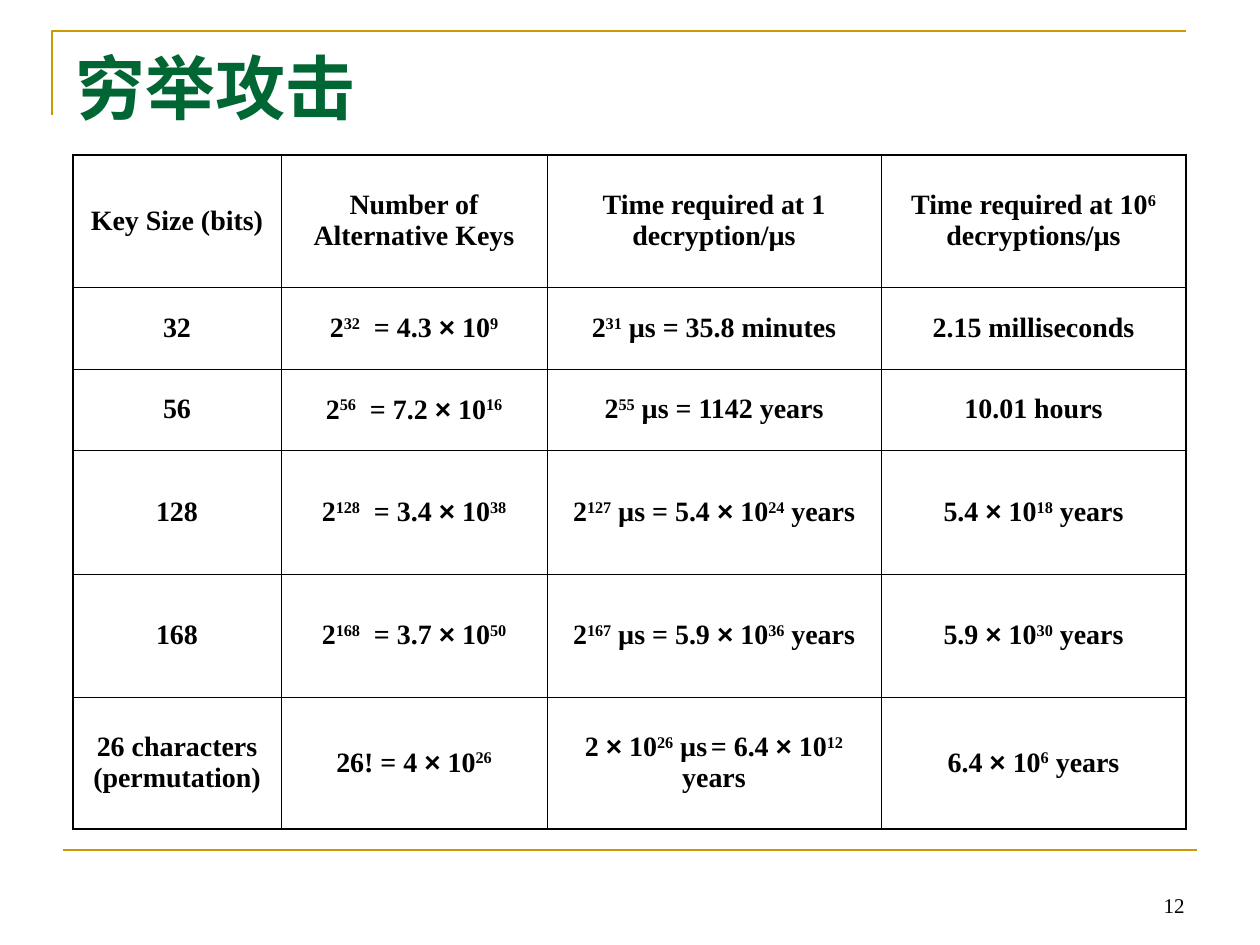
from pptx import Presentation
from pptx.dml.color import RGBColor
from pptx.enum.shapes import MSO_CONNECTOR
from pptx.enum.text import MSO_ANCHOR, MSO_AUTO_SIZE, PP_ALIGN
from pptx.oxml.ns import qn
from pptx.util import Pt
from lxml import etree

LEFT, CENTER, RIGHT = PP_ALIGN.LEFT, PP_ALIGN.CENTER, PP_ALIGN.RIGHT
TOP, MIDDLE, BOTTOM = MSO_ANCHOR.TOP, MSO_ANCHOR.MIDDLE, MSO_ANCHOR.BOTTOM
STRAIGHT = MSO_CONNECTOR.STRAIGHT
NO_AUTOFIT = MSO_AUTO_SIZE.NONE

INCH = 914400
PX_PER_INCH = 126
TITLE_ONLY = 5


def px(length):
    return round(length * INCH / PX_PER_INCH)


def color(value):
    return RGBColor.from_string(value)


class SlideBuilder:
    serif, sans = "Times New Roman", "Arial"
    ink, green, gold = "000000", "006633", "CC9900"
    rule_width, thin, thick = 1.5, 0.45, 1.08

    def __init__(self, page):
        self.page = page

    # Text: ^...^ marks a superscript, and the times sign is set in sans
    def add_span(self, para, text, size, bold, shade, raised=False):
        span = para.add_run()
        span.text = text
        span.font.size = Pt(size)
        span.font.bold = bold
        span.font.name = self.sans if text == "×" else self.serif
        span.font.color.rgb = color(shade)
        if raised:
            span.font._element.set("baseline", "30000")

    def add_text(self, frame, text, size, align, bold=False, shade=ink):
        para = frame.paragraphs[0]
        para.alignment = align
        tabs = etree.SubElement(para._p.get_or_add_pPr(), qn("a:tabLst"))
        for inch in range(8):
            etree.SubElement(tabs, qn("a:tab"), pos=str(inch * INCH), algn="l")
        for index, part in enumerate(text.split("^")):
            raised = index % 2 == 1
            for piece in part.replace("×", "|×|").split("|"):
                if piece:
                    self.add_span(para, piece, size, bold, shade, raised)

    # Title and page number
    def title(self, text, left, top, width, height):
        box = self.page.shapes.title
        box.left, box.top, box.width, box.height = map(px, (left, top, width, height))
        frame = box.text_frame
        frame.auto_size = NO_AUTOFIT
        frame.vertical_anchor = TOP
        self.add_text(frame, text, 40, LEFT, True, self.green)

    def page_number(self, text, left, top, width, height):
        box = self.page.shapes.add_textbox(*map(px, (left, top, width, height)))
        frame = box.text_frame
        frame.word_wrap = True
        frame.vertical_anchor = BOTTOM
        self.add_text(frame, text, 12, RIGHT)

    # Gold rules
    def paint_rule(self, shape):
        shape.line.color.rgb = color(self.gold)
        shape.line.width = Pt(self.rule_width)

    def corner(self, left, top, right, bottom):
        builder = self.page.shapes.build_freeform(px(left), px(bottom))
        builder.add_line_segments(
            [(px(left), px(top)), (px(right), px(top))], close=False)
        shape = builder.convert_to_shape()
        shape.shadow.inherit = False
        shape.fill.background()
        self.paint_rule(shape)

    def rule(self, left, right, y):
        line = self.page.shapes.add_connector(
            STRAIGHT, px(left), px(y), px(right), px(y))
        self.paint_rule(line)
        etree.SubElement(line._element.spPr, qn("a:effectLst"))

    # Table with a heavier outer frame
    def border(self, cell, side, width):
        line = etree.SubElement(cell._tc.get_or_add_tcPr(), qn("a:ln" + side),
                                w=str(Pt(width)))
        fill = etree.SubElement(line, qn("a:solidFill"))
        etree.SubElement(fill, qn("a:srgbClr"), val=self.ink)

    def table(self, rows, left, top, widths, heights):
        frame = self.page.shapes.add_table(
            len(heights), len(widths), px(left), px(top),
            px(sum(widths)), px(sum(heights)))
        grid = frame.table
        grid.first_row = grid.horz_banding = False
        for column, width in zip(grid.columns, widths):
            column.width = px(width)
        for row, height in zip(grid.rows, heights):
            row.height = px(height)
        last_row, last_column = len(heights) - 1, len(widths) - 1
        for r, texts in enumerate(rows):
            for c, text in enumerate(texts):
                cell = grid.cell(r, c)
                outer = {"L": c == 0, "R": c == last_column,
                         "T": r == 0, "B": r == last_row}
                for side, heavy in outer.items():
                    self.border(cell, side, self.thick if heavy else self.thin)
                cell.fill.background()
                cell.vertical_anchor = MIDDLE
                self.add_text(cell.text_frame, text, 16, CENTER, True)


KEY_ROWS = [
    ["Key Size (bits)", "Number of Alternative Keys",
     "Time required at 1 decryption/µs", "Time required at 10^6^ decryptions/µs"],
    ["32", "2^32^  = 4.3 × 10^9^", "2^31^ µs = 35.8 minutes", "2.15 milliseconds"],
    ["56", "2^56^  = 7.2 × 10^16^", "2^55^ µs = 1142 years", "10.01 hours"],
    ["128", "2^128^  = 3.4 × 10^38^",
     "2^127^ µs = 5.4 × 10^24^ years", "5.4 × 10^18^ years"],
    ["168", "2^168^  = 3.7 × 10^50^",
     "2^167^ µs = 5.9 × 10^36^ years", "5.9 × 10^30^ years"],
    ["26 characters (permutation)", "26! = 4 × 10^26^",
     "2 × 10^26^ µs\t= 6.4 × 10^12^ years", "6.4 × 10^6^ years"],
]


def main():
    deck = Presentation()
    deck.slide_width, deck.slide_height = px(1260), px(945)
    builder = SlideBuilder(deck.slides.add_slide(deck.slide_layouts[TITLE_ONLY]))

    # Frame
    builder.corner(52, 31, 1186, 115)
    builder.rule(63, 1197, 850)
    builder.page_number("12", 903, 861, 294, 63)

    # Content
    builder.title("穷举攻击", 63, 38, 1134, 158)
    builder.table(KEY_ROWS, 73, 155, [208, 266, 334, 305],
                  [132, 82, 81, 124, 123, 132])

    deck.save("out.pptx")


if __name__ == "__main__":
    main()
